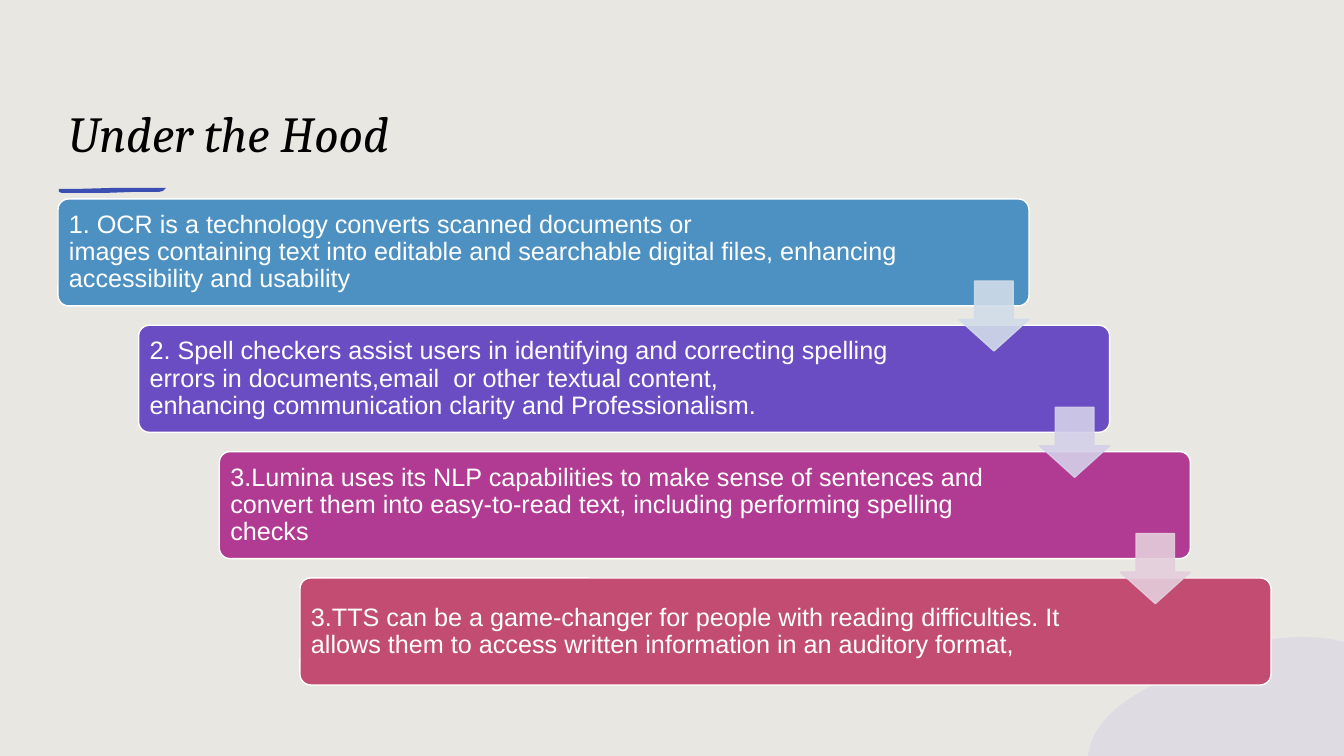
import pptx
import pptx.dml.color
import pptx.enum.shapes
import pptx.enum.text
import pptx.oxml.ns
import pptx.util
from lxml import etree

PX = 914400 / 100.8
SHAPE = pptx.enum.shapes.MSO_SHAPE
ANCHOR = pptx.enum.text.MSO_ANCHOR
NO_BREAK_SPACE = chr(160)

# Box colour, arrow colour, text width, text with ~ for a no-break space.
STEPS = [
    ("4D91C3", "D0DCE9", 846,
     "1. OCR is a~technology~converts scanned~documents or images~containing text into~"
     "editable and searchable~digital files,~enhancing accessibility and~usability"),
    ("6B4DC3", "D4D0E9", 814,
     "2.~Spell checkers assist users in identifying and correcting~spelling errors in "
     "documents,email~ or other textual~content, enhancing~communication~clarity and~"
     "Professionalism."),
    ("B13B92", "E4CEDC", 814,
     "3.Lumina uses its NLP capabilities to make sense of sentences and convert them into "
     "easy-to-read text, including performing spelling checks"),
    ("C34D72", None, 814,
     "3.TTS can be a game-changer for people with reading difficulties. It allows them to "
     "access written information in an auditory format,"),
]


def px(n):
    return pptx.util.Emu(round(n * PX))


def rgb(hex_color):
    return pptx.dml.color.RGBColor.from_string(hex_color)


def paint(fill, color, opacity=100):
    fill.solid()
    fill.fore_color.rgb = rgb(color)
    if opacity < 100:
        clr = fill._xPr.find(".//" + pptx.oxml.ns.qn("a:srgbClr"))
        etree.SubElement(clr, pptx.oxml.ns.qn("a:alpha"), val=str(opacity * 1000))


def add_shape(slide, kind, box, color, opacity=100, line=None, adjustments=()):
    sp = slide.shapes.add_shape(kind, *map(px, box))
    sp.shadow.inherit = False
    for i, value in enumerate(adjustments):
        sp.adjustments[i] = value
    paint(sp.fill, color, opacity)
    sp.line.width = pptx.util.Pt(1)
    paint(sp.line.fill, line or color, opacity)


def add_outline(slide, points, color, opacity=100):
    """Draw a closed, filled outline through points given in px."""
    corners = [(px(x), px(y)) for x, y in points]
    builder = slide.shapes.build_freeform(*corners[0])
    builder.add_line_segments(corners[1:], close=True)
    sp = builder.convert_to_shape()
    sp.shadow.inherit = False
    paint(sp.fill, color, opacity)
    sp.line.fill.background()


def add_text(slide, box, text, insets, anchor, color, font):
    tf = slide.shapes.add_textbox(*map(px, box)).text_frame
    side, end = map(px, insets)
    frame = {"word_wrap": True, "vertical_anchor": anchor, "margin_left": side,
             "margin_right": side, "margin_top": end, "margin_bottom": end}
    for name, value in frame.items():
        setattr(tf, name, value)
    p = tf.paragraphs[0]
    p.line_spacing = 0.9
    r = p.add_run()
    r.text = text
    for name, value in font.items():
        setattr(r.font, name, value)
    r.font.color.rgb = rgb(color)


def bezier(p0, p1, p2, p3, count=16):
    """Return points along a cubic curve, without its start."""
    points = []
    for i in range(1, count + 1):
        t = i / count
        u = 1 - t
        points.append(tuple(u**3 * a + 3 * u * u * t * b + 3 * u * t * t * c + t**3 * d
                            for a, b, c, d in zip(p0, p1, p2, p3)))
    return points


def add_hill(slide, left, top, width, height):
    right, bottom = left + width, top + height
    start, shoulder, crest = (left + 1, bottom - 5), (left + 96, top + 33), (left + 214, top)
    hill = [(right, bottom), (left, bottom), start]
    hill += bezier(start, (left + 8, top + 75), (left + 54, top + 52), shoulder)
    hill += bezier(shoulder, (left + 132, top + 16), (left + 169, top), crest)
    hill += bezier(crest, (left + 223, top), (left + 233, top + 1), (left + 243, top + 2))
    hill.append((right, top + 5))
    add_outline(slide, hill, "C4B8E7", 25)


def add_title(slide, left, top, width, height):
    add_text(slide, (left, top, width, height), "Under the Hood", (10, 5), ANCHOR.BOTTOM,
             "000000", {"name": "Cambria", "size": pptx.util.Pt(36), "italic": True})
    x, y = left + 1, top + height + 20
    stroke = [(0, 1), (2, 1), (17, 1), (53, 0), (107, 0), (104, 3), (100, 4),
              (75, 4), (45, 5), (3, 5), (0, 4)]
    add_outline(slide, [(x + dx, y + dy) for dx, dy in stroke], "3B4EB1")


def add_staircase(slide, left, top, width, height):
    step_w, step_h, arrow = 971, 107, 70
    gaps = len(STEPS) - 1
    dx, dy = (width - step_w) / gaps, (height - step_h) / gaps
    font = {"name": "Arial", "size": pptx.util.Pt(18)}
    for i, (color, _, text_w, text) in enumerate(STEPS):
        x, y = left + i * dx, top + i * dy
        add_shape(slide, SHAPE.ROUNDED_RECTANGLE, (x, y, step_w, step_h), color,
                  line="FFFFFF", adjustments=[0.1])
        add_text(slide, (x + 4, y + 3, text_w, step_h - 6), text.replace("~", NO_BREAK_SPACE),
                 (7, 7), ANCHOR.MIDDLE, "FFFFFF", font)
    for i, (_, tint, _, _) in enumerate(STEPS[:-1]):
        box = (left + i * dx + step_w - arrow, top + i * dy + 82, arrow, arrow)
        add_shape(slide, SHAPE.DOWN_ARROW, box, tint, 90, adjustments=[0.55, 0.45])


def main():
    prs = pptx.Presentation()
    prs.slide_width, prs.slide_height = px(1344), px(756)
    slide = prs.slides.add_slide(prs.slide_layouts[6])
    paint(slide.background.fill, "E8E7E2")
    add_hill(slide, 1088, 637, 256, 119)
    add_title(slide, 58, 78, 1111, 90)
    add_staircase(slide, 58, 199, 1213, 486)
    prs.save("out.pptx")


if __name__ == "__main__":
    main()
